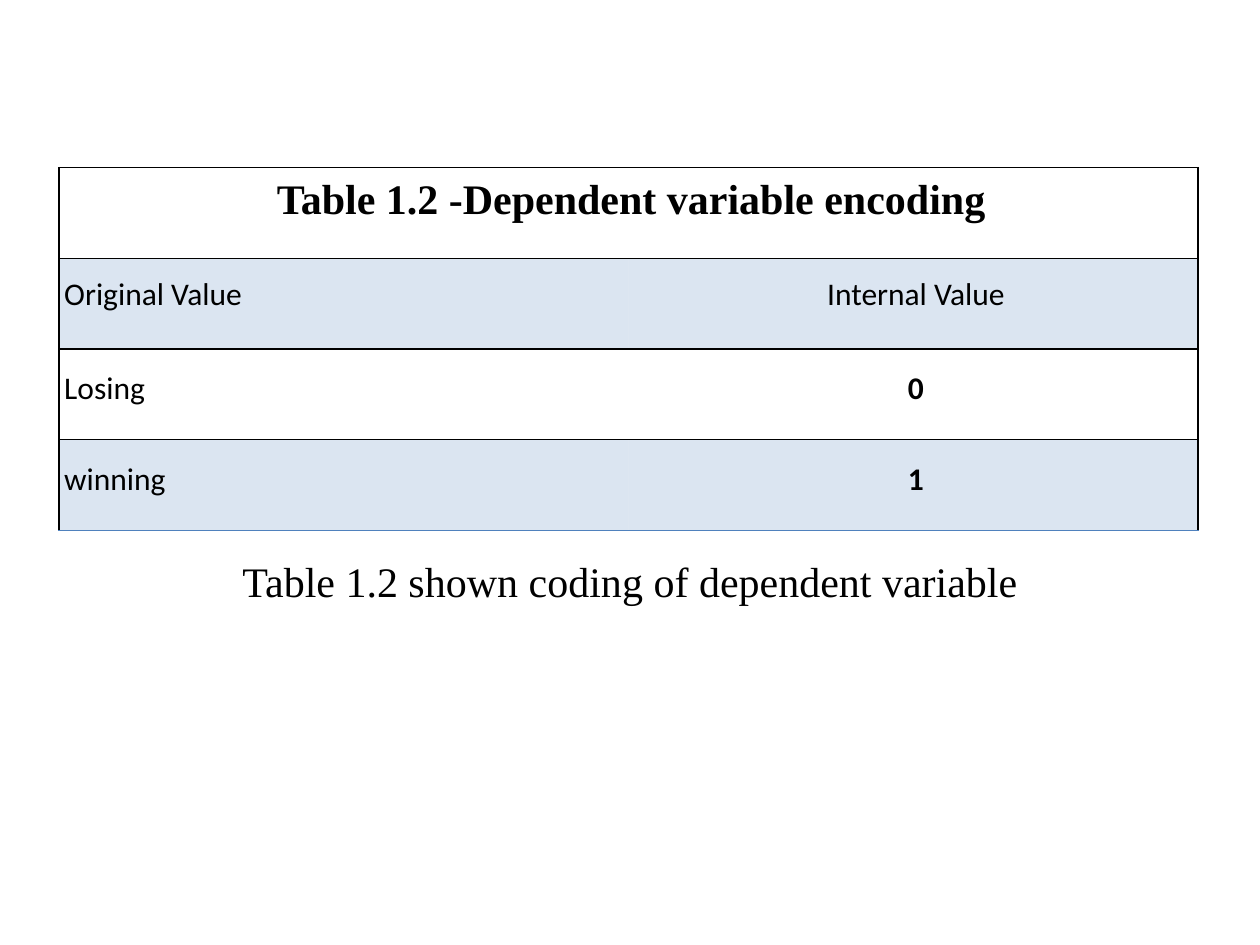
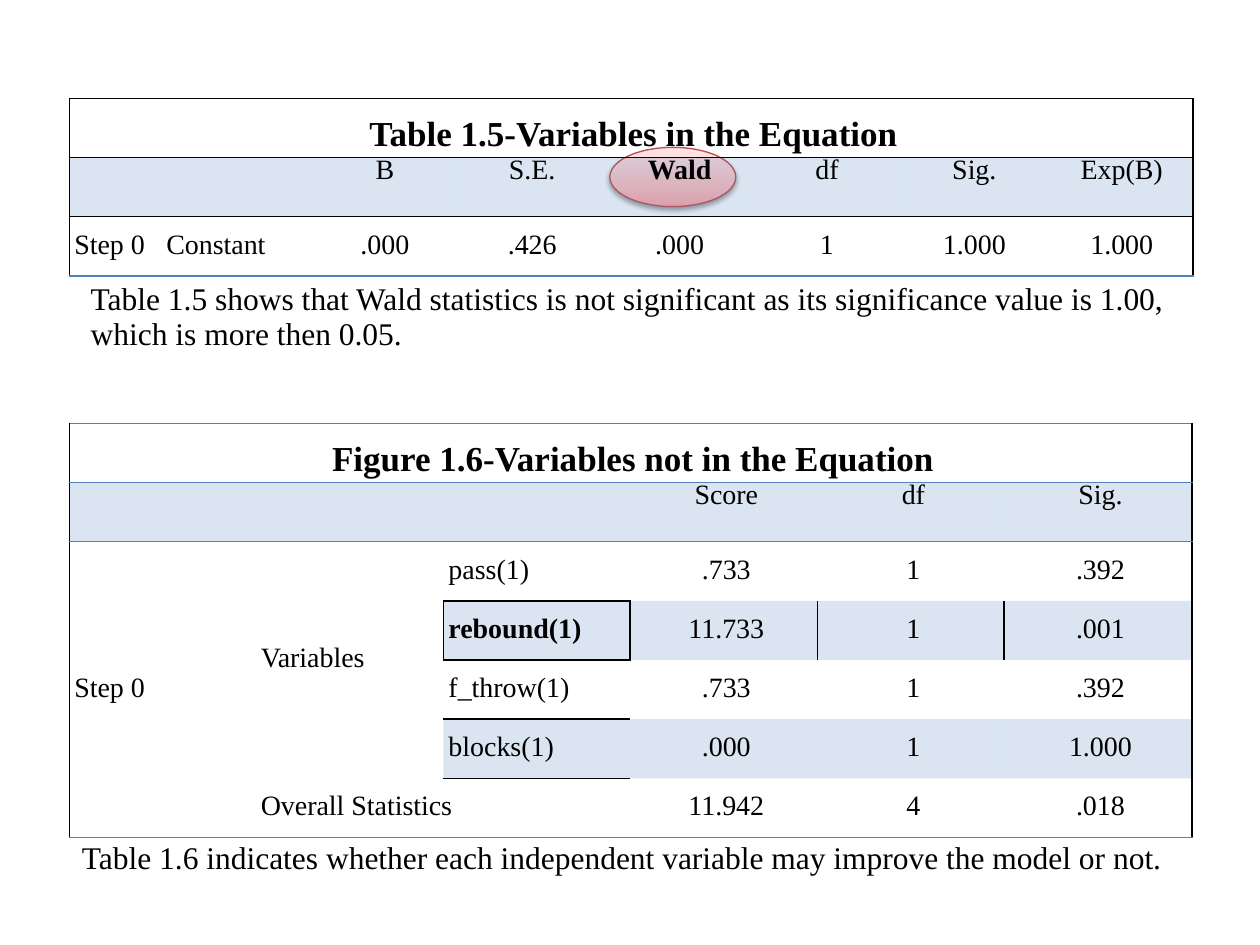
from copy import deepcopy
from dataclasses import dataclass

from pptx import Presentation
from pptx import util as u
from pptx.dml.color import RGBColor
from pptx.enum import shapes, text
from pptx.oxml import parse_xml
from pptx.oxml.ns import nsdecls, qn

PX = 9144


@dataclass(frozen=True)
class Theme:
    ink: str = "000000"
    blue: str = "4F81BD"
    marker_line: str = "BF4C48"
    marker_stops: tuple = ((0, "FFA6A5"), (0.35, "FFC0BF"), (1, "FFE7E7"))
    serif: str = "Times New Roman"
    sans: str = "Calibri"
    heading: int = 24
    subheading: int = 20
    body: int = 18
    small: int = 16
    leading: int = 16
    plain_table: str = "{2D5ABB26-0587-4C30-8999-92F81FD0307C}"


theme = Theme()


def write(frame, words, size, font=theme.serif, bold=False, centred=False):
    para = frame.paragraphs[0]
    para.alignment = text.PP_ALIGN.CENTER if centred else text.PP_ALIGN.LEFT
    span = para.add_run()
    span.text = words
    span.font.name = font
    span.font.size = u.Pt(size)
    span.font.bold = bold
    span.font.color.rgb = RGBColor.from_string(theme.ink)
    return para


def add_grid(page, left, top, widths, heights):
    box = page.shapes.add_table(len(heights), len(widths), left * PX, top * PX,
                                sum(widths) * PX, sum(heights) * PX)
    grid = box.table
    grid.first_row = grid.horz_banding = False
    grid._tbl.tblPr.find(qn("a:tableStyleId")).text = theme.plain_table
    for column, width in zip(grid.columns, widths):
        column.width = width * PX
    for row, height in zip(grid.rows, heights):
        row.height = height * PX
    for cell in grid.iter_cells():
        cell.fill.background()
    return grid


deck = Presentation()
deck.slide_width, deck.slide_height = 1000 * PX, 750 * PX
encoding_page, equation_page = [deck.slides.add_slide(deck.slide_layouts[6]) for _ in range(2)]

marker = equation_page.shapes.add_shape(shapes.MSO_SHAPE.OVAL, 484 * PX, 117 * PX, 100 * PX, 47 * PX)
marker.line.color.rgb = RGBColor.from_string(theme.marker_line)
marker.line.width = u.Pt(0.75)
marker.fill.gradient()
marker.fill.gradient_angle = 90
stop_list = marker._element.spPr.find(qn("a:gradFill")).find(qn("a:gsLst"))
stop_list.append(deepcopy(stop_list[0]))
for stop, (position, colour) in zip(marker.fill.gradient_stops, theme.marker_stops):
    stop.position = position
    stop.color.rgb = RGBColor.from_string(colour)
marker.shadow.inherit = False
marker._element.spPr.find(qn("a:effectLst")).append(parse_xml(
    f'<a:outerShdw {nsdecls("a")} blurRad="{u.Pt(3.1)}" dist="{u.Pt(1.6)}" dir="5400000" rotWithShape="0">'
    f'<a:srgbClr val="{theme.ink}"><a:alpha val="38000"/></a:srgbClr></a:outerShdw>'))

tables = [
    dict(page=encoding_page, left=47, top=133, widths=[452] * 2, height=72,
         title_size=theme.heading, size=theme.body, font=theme.sans,
         header_drop=22, labels=1, bold={"0", "1"}, spans=[(0, 0, 0, 1)],
         top_line=theme.ink, row_lines={0: theme.ink, 1: theme.ink}, boxed={},
         rows=[["Table 1.2 -Dependent variable encoding", ""],
               ["Original Value", "Internal Value"],
               ["Losing", "0"],
               ["winning", "1"]]),
    dict(page=equation_page, left=55, top=78, widths=[73] + [117] * 7, height=47,
         title_size=theme.subheading, size=theme.small, font=theme.serif,
         header_drop=0, labels=2, bold={"Wald"}, spans=[(0, 0, 0, 7), (1, 0, 1, 1)],
         top_line=theme.ink, row_lines={0: theme.ink, 1: theme.ink}, boxed={},
         rows=[["Table 1.5-Variables in the Equation"] + [""] * 7,
               ["", "", "B", "S.E.", "Wald", "df", "Sig.", "Exp(B)"],
               ["Step 0", "Constant", ".000", ".426", ".000", "1", "1.000", "1.000"]]),
    dict(page=equation_page, left=55, top=336, widths=[148, 149] * 3, height=47,
         title_size=theme.subheading, size=theme.small, font=theme.serif,
         header_drop=0, labels=3, bold={"rebound(1)"},
         spans=[(0, 0, 0, 5), (1, 0, 1, 2), (2, 0, 6, 0), (2, 1, 5, 1), (6, 1, 6, 2)],
         top_line=theme.blue, row_lines={0: theme.blue},
         boxed={(2, 2): "B", (3, 2): "LRTB", (3, 3): "LR", (3, 4): "L", (4, 2): "TB", (5, 2): "T"},
         rows=[["Figure 1.6-Variables not in the Equation"] + [""] * 5,
               ["", "", "", "Score", "df", "Sig."],
               ["Step 0", "Variables", "pass(1)", ".733", "1", ".392"],
               ["", "", "rebound(1)", "11.733", "1", ".001"],
               ["", "", "f_throw(1)", ".733", "1", ".392"],
               ["", "", "blocks(1)", ".000", "1", "1.000"],
               ["", "Overall Statistics", "", "11.942", "4", ".018"]]),
]

for table in tables:
    rows, widths = table["rows"], table["widths"]
    grid = add_grid(table["page"], table["left"], table["top"], widths, [table["height"]] * len(rows))
    for first_row, first_column, last_row, last_column in table["spans"]:
        grid.cell(first_row, first_column).merge(grid.cell(last_row, last_column))
    for r, row in enumerate(rows):
        for c, words in enumerate(row):
            cell = grid.cell(r, c)
            if cell.is_spanned:
                continue
            is_title = r == 0
            drop = 22 if is_title else table["header_drop"] if r == 1 else 0
            cell.margin_left, cell.margin_top = 4 * PX, drop * PX
            cell.margin_right = cell.margin_bottom = 0
            cell.vertical_anchor = text.MSO_ANCHOR.MIDDLE if r > 1 else text.MSO_ANCHOR.TOP
            if words:
                para = write(cell.text_frame, words,
                             table["title_size"] if is_title else table["size"],
                             theme.serif if is_title else table["font"],
                             is_title or words in table["bold"],
                             is_title or c >= table["labels"])
                para.line_spacing = u.Pt(theme.leading)
            properties = cell._tc.get_or_add_tcPr()
            if r % 2:
                cell.fill.solid()
                cell.fill.fore_color.rgb = RGBColor.from_string(theme.blue)
                tint = properties.find(qn("a:solidFill"))[0]
                tint.append(parse_xml(f'<a:alpha {nsdecls("a")} val="20000"/>'))

            end_row = r + (cell.span_height if cell.is_merge_origin else 1) - 1
            end_column = c + (cell.span_width if cell.is_merge_origin else 1) - 1
            edges = {
                "L": theme.ink if c == 0 else None,
                "R": theme.ink if end_column == len(widths) - 1 else None,
                "T": table["top_line"] if is_title else table["row_lines"].get(r - 1),
                "B": theme.blue if end_row == len(rows) - 1 else table["row_lines"].get(end_row),
            }
            edges.update(dict.fromkeys(table["boxed"].get((r, c), ""), theme.ink))
            drawn = [(side, colour) for side, colour in edges.items() if colour]
            for index, (side, colour) in enumerate(drawn):
                properties.insert(index, parse_xml(
                    f'<a:ln{side} {nsdecls("a")} w="{u.Pt(1)}"><a:solidFill>'
                    f'<a:srgbClr val="{colour}"/></a:solidFill></a:ln{side}>'))

caption = encoding_page.shapes.add_textbox(50 * PX, 328 * PX, 900 * PX, 266 * PX).text_frame
caption.word_wrap = True
caption.vertical_anchor = text.MSO_ANCHOR.MIDDLE
write(caption, "Table 1.2 shown coding of dependent variable", theme.heading, centred=True)

notes = [
    (62, 219, 883, 56, "Table 1.5 shows that Wald statistics is not significant as its "
                       "significance value is 1.00, which is more then 0.05."),
    (55, 663, 891, 41, "Table 1.6 indicates whether each independent variable may improve the model or not."),
]
for left, top, width, height, words in notes:
    grid = add_grid(equation_page, left, top, [width], [height])
    write(grid.cell(0, 0).text_frame, words, theme.body)

deck.save("out.pptx")
